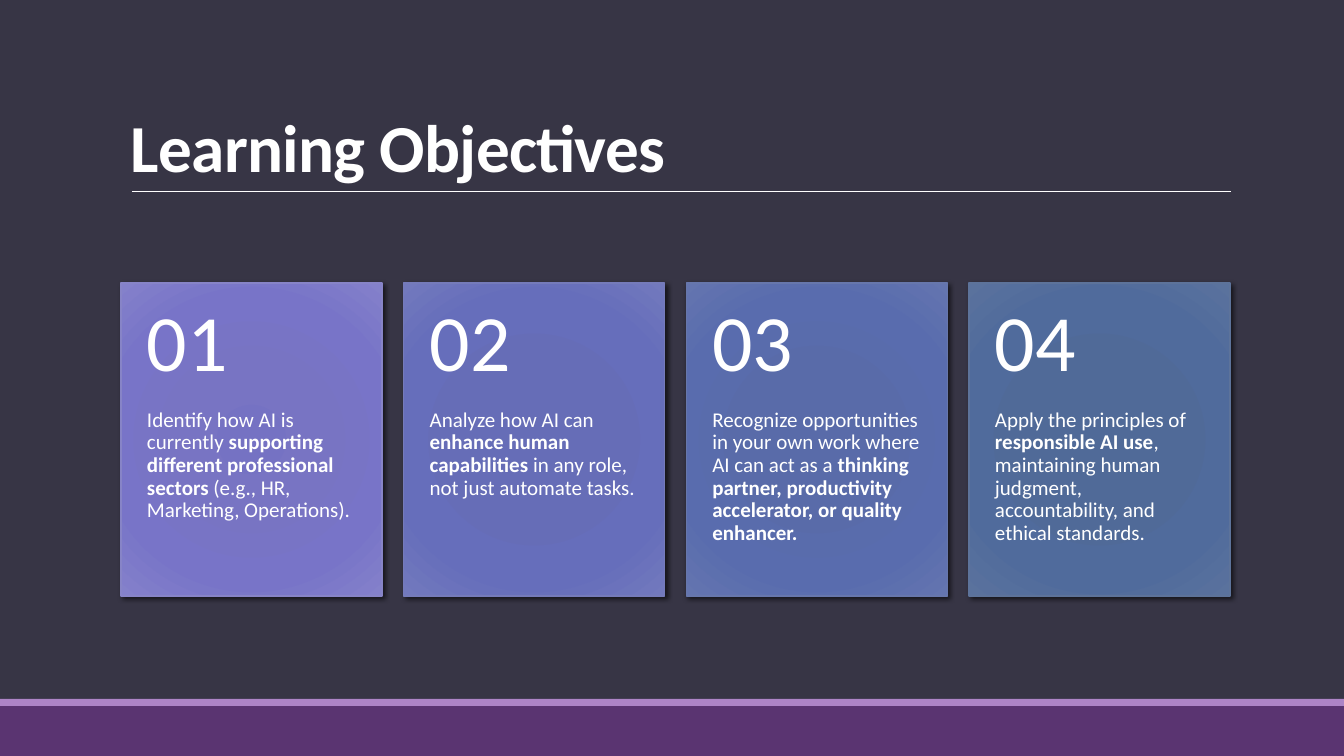
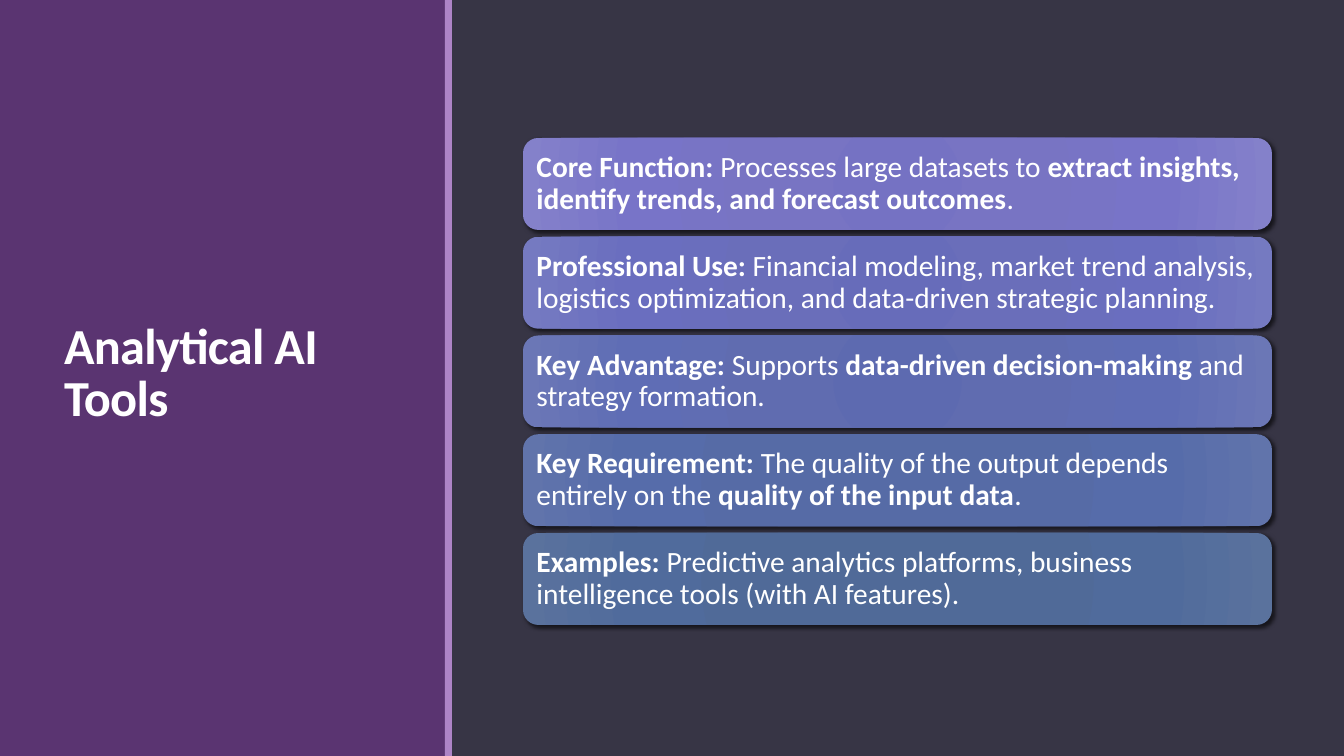
from lxml.etree import SubElement
from pptx import Presentation
from pptx.dml.color import RGBColor
from pptx.enum.shapes import MSO_CONNECTOR, MSO_SHAPE
from pptx.enum.text import MSO_ANCHOR, PP_ALIGN
from pptx.oxml.ns import qn
from pptx.util import Emu, Pt

PX_PER_INCH = 100.8
SLIDE_W, SLIDE_H = 1344, 756
FONT = "Calibri"
STOPS = (0, 34, 70, 100)

WHITE = RGBColor(0xFF, 0xFF, 0xFF)
BLACK = RGBColor(0x00, 0x00, 0x00)
NIGHT = RGBColor(0x37, 0x35, 0x45)
PLUM = RGBColor(0x5A, 0x34, 0x71)
LILAC = RGBColor(0xAD, 0x84, 0xC6)


def shades(*codes):
    """Return the colours of one gradient."""
    return tuple(RGBColor.from_string(code) for code in codes)


VIOLET = shades("7572C3", "7874C3", "7874C8", "8481CA")
IRIS = shades("676CBA", "6A6EBA", "6A6EBF", "757AC1")
PERIWINKLE = shades("646BB7", "666DB7", "666EBB", "7279BD")
INDIGO = shades("5D6AB0", "606CB0", "5F6DB5", "6B77B6")
COBALT = shades("576AA9", "596BA9", "596CAE", "6475AF")
DENIM = shades("5469A6", "566BA6", "566CAA", "6174AB")
STEEL = shades("4E6998", "506A98", "506B9C", "5A729D")

OBJECTIVES = (
    (VIOLET, RGBColor(0x87, 0x84, 0xC7),
     "Identify how AI is currently **supporting different professional "
     "sectors** (e.g., HR, Marketing, Operations)."),
    (PERIWINKLE, RGBColor(0x75, 0x7B, 0xBA),
     "Analyze how AI can **enhance human capabilities** in any role, "
     "not just automate tasks."),
    (COBALT, RGBColor(0x67, 0x77, 0xAC),
     "Recognize opportunities in your own work where AI can act as a "
     "**thinking partner, productivity accelerator, or quality enhancer.**"),
    (STEEL, RGBColor(0x5D, 0x73, 0x9A),
     "Apply the principles of **responsible AI use**, maintaining human "
     "judgment, accountability, and ethical standards."),
)

TOOL_FACTS = (
    (VIOLET, "**Core Function:** Processes large datasets to **extract "
             "insights, identify trends, and forecast outcomes**."),
    (IRIS, "**Professional Use:** Financial modeling, market trend analysis, "
           "logistics optimization, and data-driven strategic planning."),
    (INDIGO, "**Key Advantage:** Supports **data-driven decision-making** "
             "and strategy formation."),
    (DENIM, "**Key Requirement:** The quality of the output depends entirely "
            "on the **quality of the input data**."),
    (STEEL, "**Examples:** Predictive analytics platforms, business "
            "intelligence tools (with AI features)."),
)


def px(length):
    """Turn pixels into EMU."""
    return Emu(round(length * 914400 / PX_PER_INCH))


def spread(start, end, size, count):
    """Return the starts of equal items that fill a span with equal gaps."""
    pitch = (end - start - size) / (count - 1)
    return [start + pitch * index for index in range(count)]


def write(holder, text, size, anchor=MSO_ANCHOR.TOP, insets=(10, 5, 10, 5),
          leading=0.9, tracking=0):
    """Write text into a shape, with bold parts between double asterisks."""
    frame = holder.text_frame
    frame.word_wrap = True
    frame.vertical_anchor = anchor
    (frame.margin_left, frame.margin_top,
     frame.margin_right, frame.margin_bottom) = map(px, insets)
    paragraph = frame.paragraphs[0]
    paragraph.alignment = PP_ALIGN.LEFT
    paragraph.line_spacing = leading
    for index, part in enumerate(text.split("**")):
        if part:
            run = paragraph.add_run()
            run.text = part
            run.font.name = FONT
            run.font.size = Pt(size)
            run.font.bold = index % 2 == 1
            run.font.color.rgb = WHITE
            if tracking:
                run.font._element.set("spc", str(round(tracking * 100)))


def add_label(slide, box, text, **text_format):
    """Add a text box."""
    label = slide.shapes.add_textbox(*map(px, box))
    write(label, text, **text_format)


def add_title(slide, box, text, size, anchor):
    """Add a slide title in the shared style."""
    add_label(slide, box, f"**{text}**", size=size, anchor=anchor,
              leading=0.85, tracking=-0.5)


def add_band(slide, box, colour):
    """Add a plain coloured rectangle."""
    band = slide.shapes.add_shape(MSO_SHAPE.RECTANGLE, *map(px, box))
    band.shadow.inherit = False
    band.fill.solid()
    band.fill.fore_color.rgb = colour
    band.line.fill.background()


def add_colour(parent, colour):
    """Add a colour element and return it."""
    return SubElement(parent, qn("a:srgbClr"), val=str(colour))


def add_tile(slide, preset, box, colours, blur, edge=None):
    """Add a shape with a radial gradient and a soft shadow."""
    tile = slide.shapes.add_shape(preset, *map(px, box))
    tile.fill.background()
    if edge is None:
        tile.line.fill.background()
    else:
        tile.line.color.rgb = edge
        tile.line.width = Pt(1)
    tile.shadow.inherit = False

    properties = tile._element.spPr
    no_fill = properties.find(qn("a:noFill"))
    gradient = SubElement(properties, qn("a:gradFill"), rotWithShape="1")
    properties.replace(no_fill, gradient)
    stops = SubElement(gradient, qn("a:gsLst"))
    for position, colour in zip(STOPS, colours):
        stop = SubElement(stops, qn("a:gs"), pos=str(position * 1000))
        add_colour(stop, colour)
    circle = SubElement(gradient, qn("a:path"), path="circle")
    SubElement(circle, qn("a:fillToRect"),
               {side: "100000" for side in "ltrb"})

    shadow = SubElement(properties.find(qn("a:effectLst")),
                        qn("a:outerShdw"), blurRad=str(Pt(blur)),
                        dist=str(Pt(2)), dir=str(45 * 60000),
                        algn="tl", rotWithShape="0")
    SubElement(add_colour(shadow, BLACK), qn("a:alpha"), val="60000")
    return tile


def add_rule(slide, left, right, y):
    """Add a thin horizontal white line."""
    rule = slide.shapes.add_connector(
        MSO_CONNECTOR.STRAIGHT, px(left), px(y), px(right), px(y))
    rule.line.color.rgb = WHITE
    rule.line.width = Pt(0.5)
    SubElement(rule._element.spPr, qn("a:effectLst"))


def add_slide(deck):
    """Add a blank slide with the dark background."""
    slide = deck.slides.add_slide(deck.slide_layouts[6])
    slide.background.fill.solid()
    slide.background.fill.fore_color.rgb = NIGHT
    return slide


def build_objectives(deck):
    """Build the slide of numbered learning objectives."""
    slide = add_slide(deck)
    add_band(slide, (0, 706, SLIDE_W, 50), PLUM)
    add_band(slide, (0, 699, SLIDE_W, 7), LILAC)
    add_rule(slide, 132, 1231, 191)
    add_title(slide, (121, 31, 1109, 160), "Learning Objectives", 48,
              MSO_ANCHOR.BOTTOM)

    top, width, height, number_height = 283, 261, 313, 126
    lefts = spread(121, 1230, width, len(OBJECTIVES))
    for number, (left, objective) in enumerate(zip(lefts, OBJECTIVES), 1):
        colours, edge, text = objective
        card = add_tile(slide, MSO_SHAPE.RECTANGLE,
                        (left, top, width, height), colours, 3.5, edge)
        write(card, text, size=15, insets=(26, number_height, 26, 36))
        add_label(slide, (left, top, width, number_height), f"{number:02}",
                  size=57, anchor=MSO_ANCHOR.MIDDLE, insets=(26, 18, 26, 18))


def build_analytical_tools(deck):
    """Build the slide on analytical tools."""
    slide = add_slide(deck)
    add_band(slide, (0, 0, 446, SLIDE_H), PLUM)
    add_title(slide, (54, 57, 340, 636), "Analytical AI Tools", 36,
              MSO_ANCHOR.MIDDLE)
    add_band(slide, (445, 0, 7, SLIDE_H), LILAC)

    height = 92
    tops = spread(138, 625, height, len(TOOL_FACTS))
    for top, (colours, text) in zip(tops, TOOL_FACTS):
        fact = add_tile(slide, MSO_SHAPE.ROUNDED_RECTANGLE,
                        (523, top, 749, height), colours, 3)
        write(fact, text, size=21, anchor=MSO_ANCHOR.MIDDLE,
              insets=(9, 9, 9, 9))


def main():
    """Build and save the presentation."""
    deck = Presentation()
    deck.slide_width, deck.slide_height = px(SLIDE_W), px(SLIDE_H)
    build_objectives(deck)
    build_analytical_tools(deck)
    deck.save("out.pptx")


if __name__ == "__main__":
    main()
